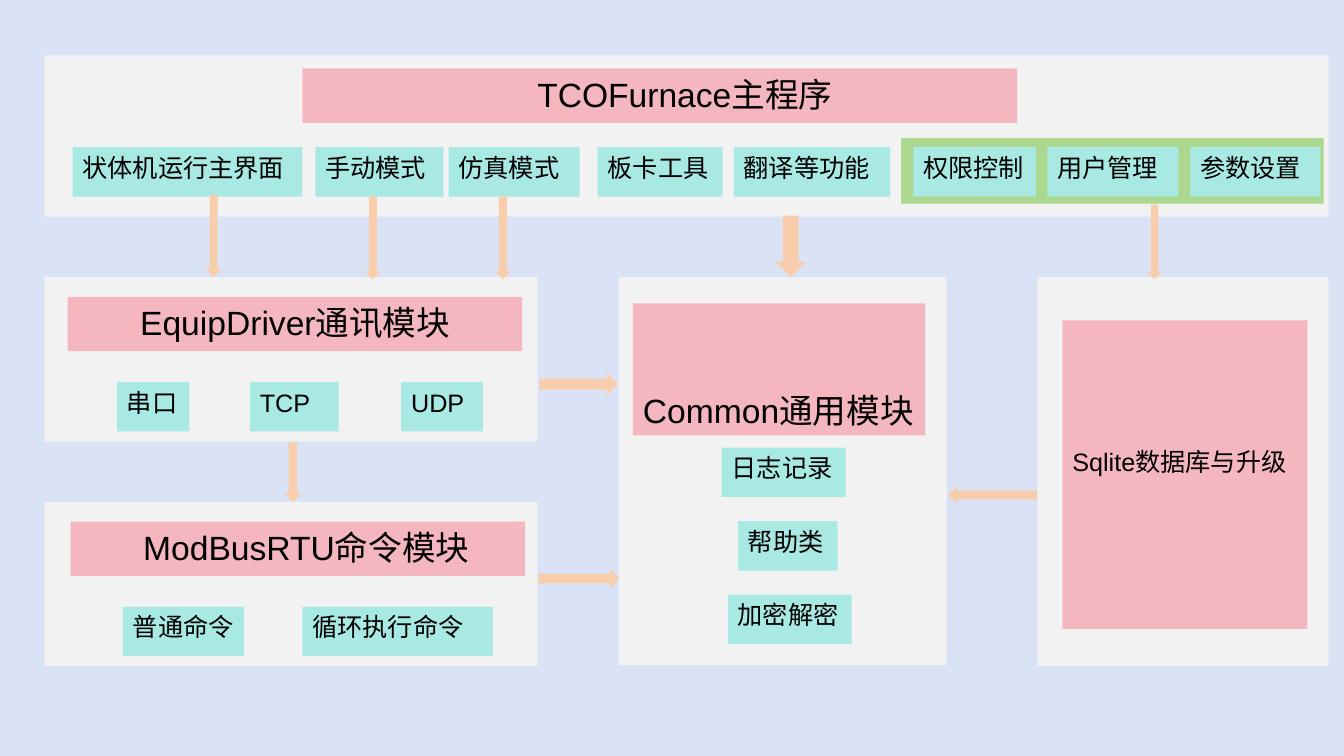
"""Build the module architecture slide of the TCOFurnace program."""
import pptx
import pptx.dml.color
import pptx.enum.shapes
import pptx.enum.text
import pptx.util

RGBColor = pptx.dml.color.RGBColor
Shape = pptx.enum.shapes.MSO_SHAPE
Anchor = pptx.enum.text.MSO_ANCHOR

SKY = RGBColor(0xDA, 0xE3, 0xF5)
PANEL = RGBColor(0xF2, 0xF2, 0xF2)
PINK = RGBColor(0xF5, 0xB7, 0xBF)
TEAL = RGBColor(0xA9, 0xE9, 0xE4)
GREEN = RGBColor(0xAC, 0xD7, 0x8E)
PEACH = RGBColor(0xF8, 0xCD, 0xAC)
BLACK = RGBColor(0, 0, 0)

CELL = pptx.util.Inches(0.1)
COLUMNS, ROWS = 133.33, 75
CHIP_HEIGHT = 4.9


def cells(count):
    return pptx.util.Emu(round(count * CELL))


def write(frame, content, size=18, left=1, top=0.5, right=1, anchor=Anchor.TOP):
    frame.word_wrap = True
    frame.vertical_anchor = anchor
    frame.margin_left, frame.margin_right = cells(left), cells(right)
    frame.margin_top, frame.margin_bottom = cells(top), cells(0.5)
    paragraph = frame.paragraphs[0]
    paragraph.alignment = pptx.enum.text.PP_ALIGN.LEFT
    run = paragraph.add_run()
    run.text = content
    run.font.name = "Arial"
    run.font.size = pptx.util.Pt(size)
    run.font.color.rgb = BLACK


class Diagram:
    """Draw panels, headings, chips and arrows on a grid of tenths of an inch."""

    def __init__(self, slide):
        self.slide = slide
        slide.background.fill.solid()
        slide.background.fill.fore_color.rgb = SKY

    def block(self, area, color, outline=Shape.RECTANGLE):
        block = self.slide.shapes.add_shape(outline, *map(cells, area))
        block.shadow.inherit = False
        block.fill.solid()
        block.fill.fore_color.rgb = color
        block.line.fill.background()
        return block

    def panel(self, *area, color=PANEL):
        self.block(area, color)

    def heading(self, content, *area, **style):
        write(self.block(area, PINK).text_frame, content, **style)

    def chip(self, content, left, top, width):
        chip = self.block((left, top, width, CHIP_HEIGHT), TEAL)
        write(chip.text_frame, content, right=0)

    def chip_row(self, top, chips):
        for content, left, width in chips:
            self.chip(content, left, top, width)

    def arrow(self, *area, turn=0):
        self.block(area, PEACH, Shape.DOWN_ARROW).rotation = turn


def draw_program(diagram):
    diagram.panel(4.4, 5.5, 127.4, 16)
    diagram.heading("TCOFurnace主程序", 30, 6.8, 70.9, 5.4, size=24, left=23.3)
    diagram.panel(89.4, 13.7, 41.9, 6.5, color=GREEN)
    diagram.chip_row(14.6, [
        ("状体机运行主界面", 7.2, 22.8),
        ("手动模式", 31.3, 12.7),
        ("仿真模式", 44.5, 13),
        ("板卡工具", 59.3, 12.4),
        ("翻译等功能", 72.8, 15.5),
        ("权限控制", 90.6, 12.2),
        ("用户管理", 103.9, 13),
        ("参数设置", 118.1, 12.9),
    ])


def draw_communication(diagram):
    modules = [
        ("EquipDriver通讯模块", 27.5, 6.7,
         [("串口", 11.6, 7.2), ("TCP", 24.8, 8.8), ("UDP", 39.8, 8.1)]),
        ("ModBusRTU命令模块", 49.8, 7,
         [("普通命令", 12.2, 12), ("循环执行命令", 30, 18.9)]),
    ]
    for title, top, left, chips in modules:
        diagram.panel(4.4, top, 48.9, 16.3)
        diagram.heading(title, left, top + 1.95, 45.1, 5.4, size=24, left=7.2)
        diagram.chip_row(top + 10.4, chips)


def draw_common(diagram):
    diagram.panel(61.4, 27.5, 32.5, 38.5)
    diagram.heading("Common通用模块", 62.8, 30.1, 29, 13.1,
                    size=24, anchor=Anchor.BOTTOM)
    chips = [("日志记录", 71.6, 12.3), ("帮助类", 73.2, 9.9), ("加密解密", 72.2, 12.3)]
    for index, (content, left, width) in enumerate(chips):
        diagram.chip(content, left, 44.4 + 7.3 * index, width)


def draw_database(diagram):
    diagram.panel(102.9, 27.5, 28.9, 38.6)
    diagram.heading("Sqlite数据库与升级", 105.4, 31.8, 24.3, 30.6, top=12.5, right=0)


def draw_arrows(diagram):
    for left, top in [(20.4, 19.3), (36.2, 19.5), (49.1, 19.5)]:
        diagram.arrow(left, top, 1.6, 8.2)
    diagram.arrow(76.9, 21.4, 3.1, 6.1)
    diagram.arrow(113.8, 20.3, 1.5, 7.4)
    diagram.arrow(28.2, 43.9, 1.7, 5.9)
    diagram.arrow(56.3, 34.2, 2.2, 7.8, turn=270)
    diagram.arrow(56.5, 53.4, 1.9, 8, turn=270)
    diagram.arrow(97.6, 44.7, 1.7, 8.8, turn=90)


def main():
    deck = pptx.Presentation()
    deck.slide_width, deck.slide_height = cells(COLUMNS), cells(ROWS)
    diagram = Diagram(deck.slides.add_slide(deck.slide_layouts[6]))
    draw_program(diagram)
    draw_communication(diagram)
    draw_common(diagram)
    draw_database(diagram)
    draw_arrows(diagram)
    deck.save("out.pptx")


if __name__ == "__main__":
    main()
